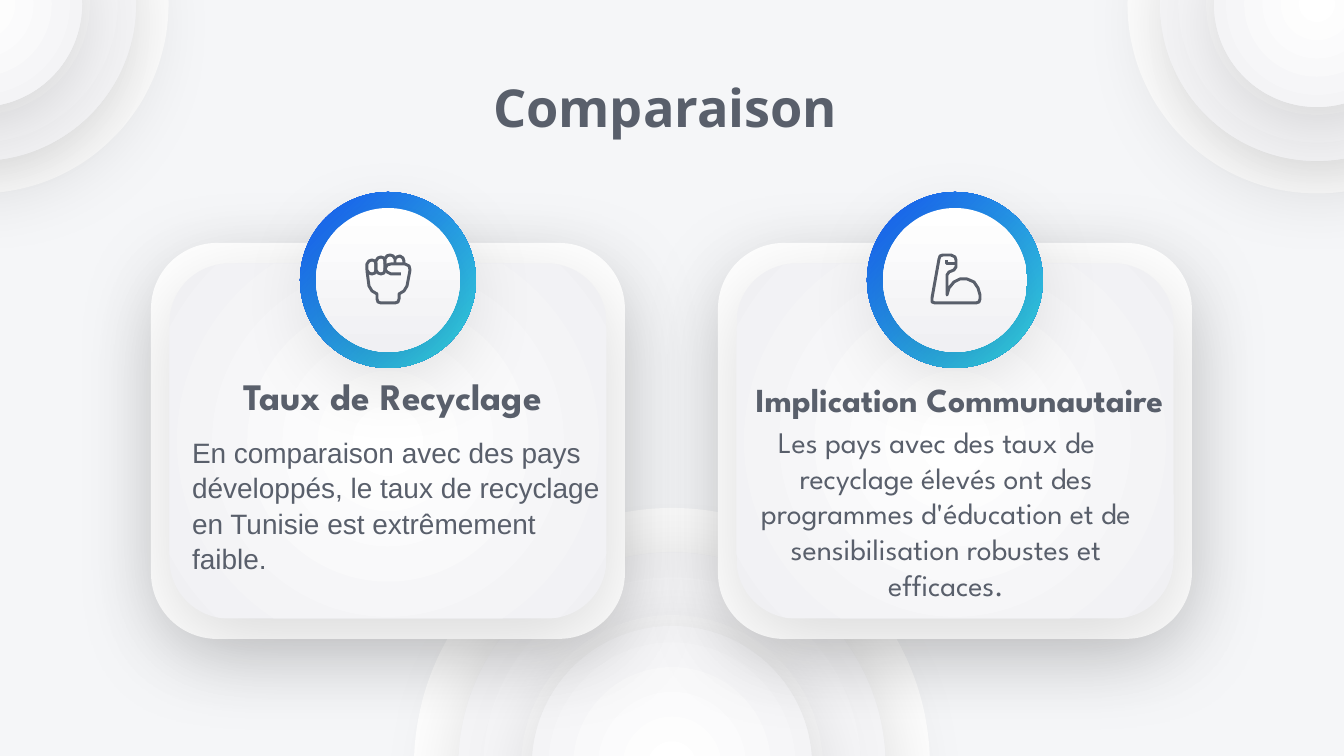
import pptx
import pptx.dml.color
import pptx.enum.shapes
import pptx.enum.text
import pptx.oxml
import pptx.oxml.ns
import pptx.util

PX = 9144000 / 1344  # EMU per pixel
INK = "595F6B"
WHITE = "FFFFFF"
NAMESPACE = pptx.oxml.ns.nsdecls("a")
OVAL = pptx.enum.shapes.MSO_SHAPE.OVAL
ROUNDED = pptx.enum.shapes.MSO_SHAPE.ROUNDED_RECTANGLE
ALIGN = pptx.enum.text.PP_ALIGN
ANCHOR = pptx.enum.text.MSO_ANCHOR


def color(value):
    return pptx.dml.color.RGBColor.from_string(value)


def write_text(shape, text, box, font, size, bold=False, align=ALIGN.CENTER,
               anchor=ANCHOR.MIDDLE, inset=13, margin=0, indent=0, spacing=None):
    shape.left, shape.top, shape.width, shape.height = [round(v * PX) for v in box]
    frame = shape.text_frame
    frame.word_wrap = True
    frame.auto_size = pptx.enum.text.MSO_AUTO_SIZE.NONE
    frame.vertical_anchor = anchor
    frame.margin_left = frame.margin_right = round(13 * PX)
    frame.margin_top = frame.margin_bottom = round(inset * PX)
    paragraph = frame.paragraphs[0]
    paragraph.alignment = align
    paragraph.line_spacing = spacing
    properties = paragraph._p.get_or_add_pPr()
    properties.set("marL", str(round(margin * PX)))
    properties.set("indent", str(round(indent * PX)))
    run = paragraph.add_run()
    run.text = text
    run.font.name = font
    run.font.size = pptx.util.Pt(size)
    run.font.bold = bold
    run.font.color.rgb = color(INK)


presentation = pptx.Presentation()
presentation.slide_width = round(1344 * PX)
presentation.slide_height = round(756 * PX)
slide = presentation.slides.add_slide(presentation.slide_layouts[5])
slide.background.fill.solid()
slide.background.fill.fore_color.rgb = color("F5F6F8")

# Gradients: first colour, last colour, direction
RADIAL = ("FFFFFF", "F0F0F3",
          '<a:path path="circle"><a:fillToRect l="50000" t="50000" r="50000" b="50000"/></a:path>')
VERTICAL = ("FFFFFF", "F0F0F3", '<a:lin ang="5400000" scaled="0"/>')
DIAGONAL = ("1658F1", "36DBE0", '<a:lin ang="2700000" scaled="0"/>')

# Shapes from back to front: kind, centre, size, fill, shadow
shapes = []
for x, y, diameters in ((672, 766, (516, 427, 280)),
                        (1317, 4, (379, 314, 206)),
                        (-21, 4, (379, 314, 206))):
    for diameter, fill in zip(diameters, (WHITE, RADIAL, RADIAL)):
        shapes.append((OVAL, x, y, diameter, diameter, fill, fill == RADIAL))
card_centers = (955, 388)
for x in card_centers:
    shapes.append((ROUNDED, x, 441, 474, 396, WHITE, True))
    shapes.append((ROUNDED, x, 441, 437, 355, RADIAL, True))
for x in card_centers:
    shapes.append((OVAL, x, 280, 176, 176, DIAGONAL, False))
    shapes.append((OVAL, x, 280, 144, 144, VERTICAL, True))

for kind, x, y, width, height, fill, has_shadow in shapes:
    shape = slide.shapes.add_shape(kind, round((x - width / 2) * PX), round((y - height / 2) * PX),
                                   round(width * PX), round(height * PX))
    shape.line.fill.background()
    shape.shadow.inherit = False
    if fill == WHITE:
        shape.fill.solid()
        shape.fill.fore_color.rgb = color(WHITE)
    else:
        first, last, direction = fill
        shape._element.spPr.find(pptx.oxml.ns.qn("a:prstGeom")).addnext(pptx.oxml.parse_xml(
            f'<a:gradFill {NAMESPACE} rotWithShape="1"><a:gsLst>'
            f'<a:gs pos="0"><a:srgbClr val="{first}"/></a:gs>'
            f'<a:gs pos="100000"><a:srgbClr val="{last}"/></a:gs>'
            f'</a:gsLst>{direction}</a:gradFill>'))
    if has_shadow:
        effects = shape._element.spPr.find(pptx.oxml.ns.qn("a:effectLst"))
        effects.append(pptx.oxml.parse_xml(
            f'<a:outerShdw {NAMESPACE} blurRad="571500" dist="142240" dir="5100000" '
            'algn="ctr" rotWithShape="0"><a:srgbClr val="000000"><a:alpha val="15000"/>'
            '</a:srgbClr></a:outerShdw>'))

# Icons: strokes as (points, closed)
fist = [
    ([(367, 264), (369, 261), (372, 260), (375, 261), (376, 264),
      (376, 270), (375, 273), (372, 274), (369, 273), (367, 270)], True),
    ([(376, 261), (378, 258), (381, 257), (384, 258), (385, 261),
      (385, 270), (384, 273), (381, 274), (378, 273), (376, 270)], True),
    ([(385, 264), (385, 259), (387, 256), (390, 255), (393, 256), (395, 259), (395, 264)], False),
    ([(395, 259), (397, 257), (400, 256), (403, 258), (404, 261), (404, 264)], False),
    ([(401, 274), (391, 274), (387, 272), (385, 269), (387, 265), (391, 264), (405, 264),
      (409, 266), (410, 270), (407, 286), (404, 291), (399, 294), (399, 299), (398, 302),
      (395, 303), (381, 303), (378, 302), (377, 299), (377, 294), (372, 291), (369, 286),
      (367, 271)], False),
]
arm = [
    ([(943, 255), (951, 255), (955, 257), (956, 260), (956, 267), (954, 270), (949, 272),
      (947, 275), (947, 295), (949, 288), (954, 282), (960, 279), (967, 279), (974, 282),
      (978, 288), (980, 295), (980, 299), (979, 302), (976, 303), (935, 303), (932, 302),
      (932, 298), (939, 259), (940, 256)], True),
    ([(956, 263), (947, 263), (947, 260)], False),
]
for points, closed in fist + arm:
    builder = slide.shapes.build_freeform(*points[0], scale=PX)
    builder.add_line_segments(points[1:], close=closed)
    stroke = builder.convert_to_shape()
    stroke.fill.background()
    stroke.shadow.inherit = False
    stroke.line.color.rgb = color(INK)
    stroke.line.width = pptx.util.Pt(1.6)

# Title and card texts
write_text(slide.shapes.title, "Comparaison ", (105, 79, 1134, 55), "Noto Sans", 28, bold=True)
for text, box, size in (("Taux de Recyclage ", (199, 368, 378, 55), 20),
                        ("Implication Communautaire ", (695, 372, 519, 55), 18)):
    write_text(slide.shapes.add_textbox(0, 0, 0, 0), text, box, "League Spartan", size,
               bold=True, margin=19)
write_text(slide.shapes.add_textbox(0, 0, 0, 0),
           "Les pays avec des taux de recyclage élevés ont des programmes d'éducation et de "
           "sensibilisation robustes et efficaces.",
           (718, 425, 437, 176), "League Spartan", 16, margin=19, indent=-19)
write_text(slide.shapes.add_textbox(0, 0, 0, 0),
           "En comparaison avec des pays développés, le taux de recyclage en Tunisie est "
           "extrêmement faible.",
           (179, 427, 437, 189), "Arial", 15, align=ALIGN.LEFT, anchor=ANCHOR.TOP,
           inset=7, spacing=1.05)

presentation.save("out.pptx")
